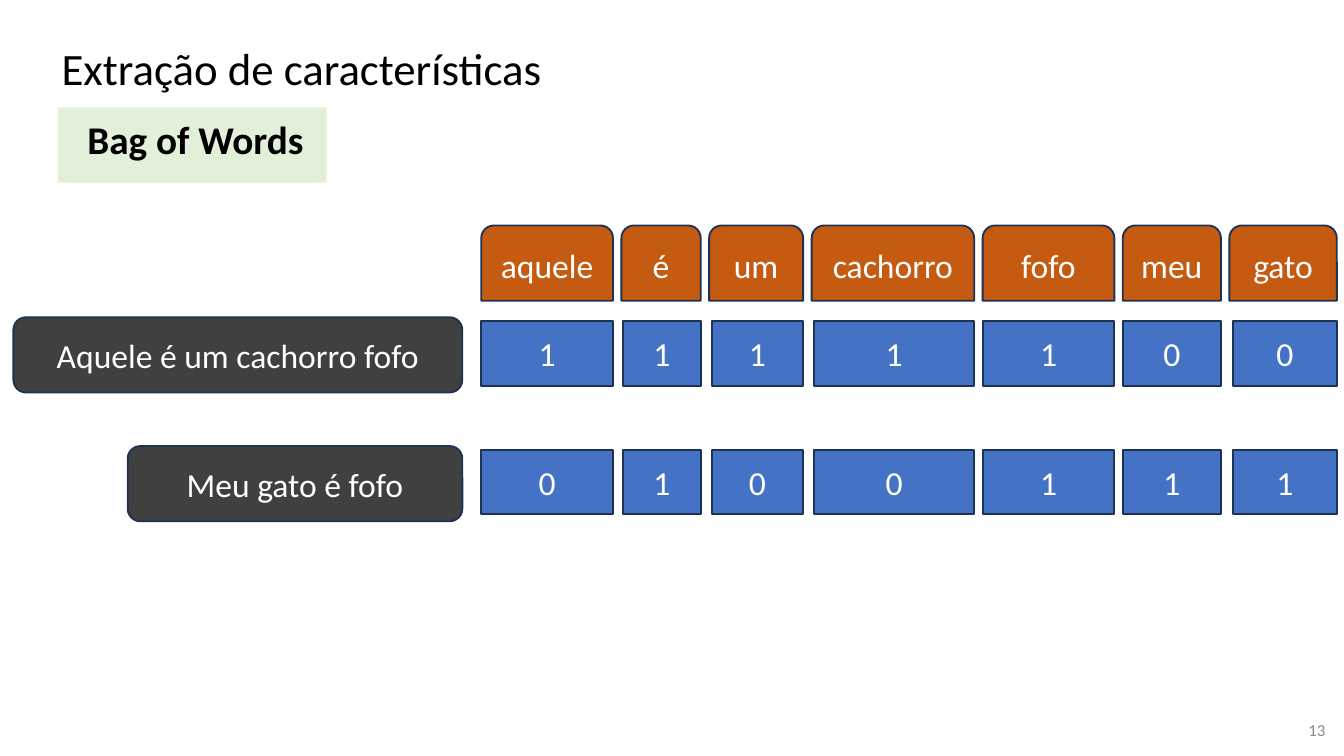
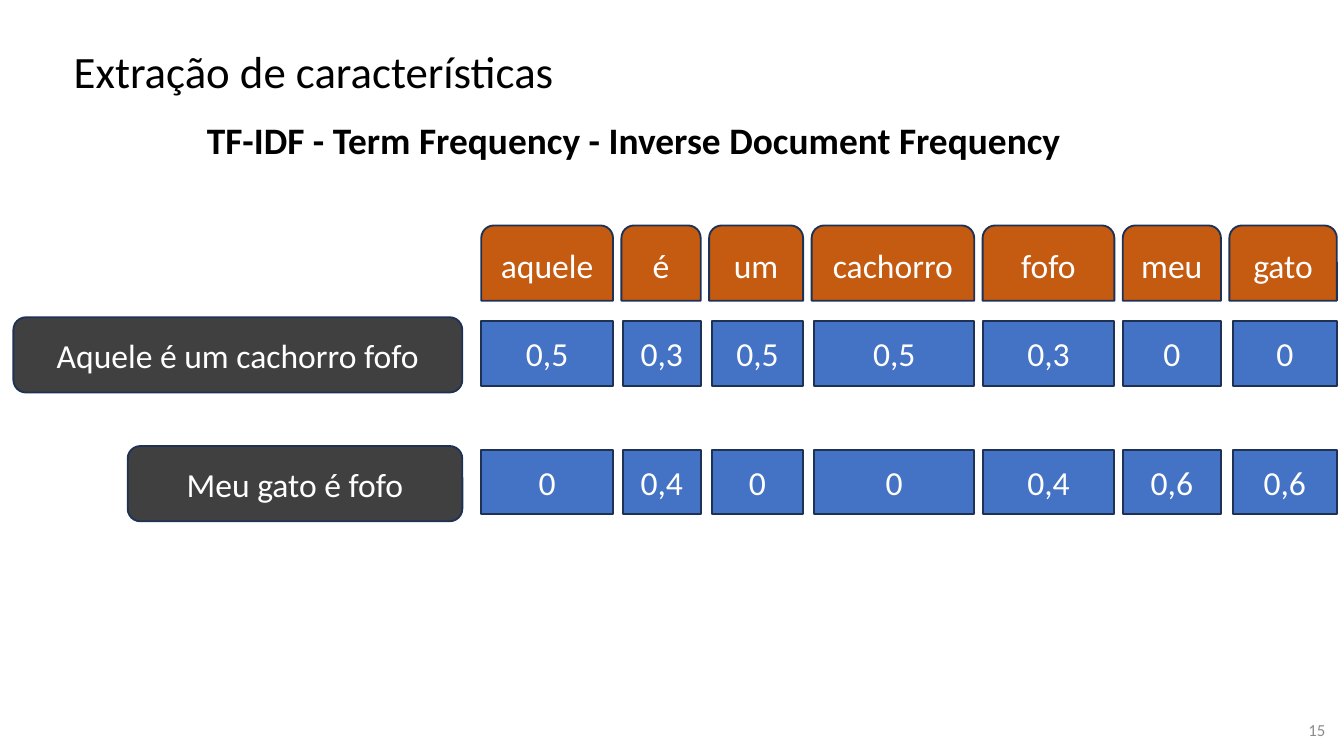
import pptx
import pptx.util
import pptx.dml.color
import pptx.enum.shapes
import pptx.enum.text

Pt = pptx.util.Pt
RGBColor = pptx.dml.color.RGBColor
Shape = pptx.enum.shapes.MSO_SHAPE
Align = pptx.enum.text.PP_ALIGN
Anchor = pptx.enum.text.MSO_ANCHOR

BLACK = RGBColor(0x00, 0x00, 0x00)
WHITE = RGBColor(0xFF, 0xFF, 0xFF)
GRAY = RGBColor(0x8C, 0x8C, 0x8C)
DARK = RGBColor(0x40, 0x40, 0x40)
NAVY = RGBColor(0x1E, 0x32, 0x56)
BLUE = RGBColor(0x44, 0x72, 0xC4)
ORANGE = RGBColor(0xC5, 0x5A, 0x11)
GREEN = RGBColor(0xE2, 0xF0, 0xD9)
FONT = "Calibri"

TITLE = "Extração de características"

# word, header width, cell inset from the left edge of the header
WORDS = [
    ("aquele", 70.6, 0),
    ("é", 42.5, 0.7),
    ("um", 50.4, 1.4),
    ("cachorro", 87.1, 1.4),
    ("fofo", 70.6, 0),
    ("meu", 52.6, 0),
    ("gato", 57.6, 1.8),
]

# sentence, label top, label width
TEXTS = [
    ("Aquele é um cachorro fofo", 170, 240.5),
    ("Meu gato é fofo", 239, 179.3),
]

SLIDES = [
    {
        "number": "13",
        "title": (25.9, 10.1),
        "method": "Bag of Words",
        "place": (31, 57.6, 144, 40.3),
        "style": {"size": 21, "fill": GREEN, "indent": 8.64},
        "values": [
            ["1", "1", "1", "1", "1", "0", "0"],
            ["0", "1", "0", "0", "1", "1", "1"],
        ],
    },
    {
        "number": "15",
        "title": (32.4, 11.5),
        "method": "TF-IDF - Term Frequency - Inverse Document Frequency",
        "place": (103.7, 58.3, 512.6, 33.8),
        "style": {"size": 20},
        "values": [
            ["0,5", "0,3", "0,5", "0,5", "0,3", "0", "0"],
            ["0", "0,4", "0", "0", "0,4", "0,6", "0,6"],
        ],
    },
]

GRID_X, GRID_Y, GAP = 257.8, 120.8, 4.5
LABEL_END, LABEL_H = 247.7, 40.3
CELL_DROP, CELL_H = 2, 34.6


def write(shape, text, size=18, color=WHITE, bold=False, align=Align.CENTER,
          anchor=Anchor.MIDDLE, pad=3.6, spacing=None, indent=0):
    frame = shape.text_frame
    frame.word_wrap = True
    frame.vertical_anchor = anchor
    frame.margin_left = frame.margin_right = Pt(7.2)
    frame.margin_top = frame.margin_bottom = Pt(pad)
    if indent:
        frame.margin_left = Pt(7.2 + indent)
    para = frame.paragraphs[0]
    para.alignment = align
    if spacing:
        para.line_spacing = spacing
    run = para.add_run()
    run.text = text
    font = run.font
    font.name, font.size, font.bold = FONT, Pt(size), bold
    font.color.rgb = color


def add_text(slide, text, place, fill=None, **style):
    box = slide.shapes.add_textbox(*map(Pt, place))
    if fill is not None:
        box.fill.solid()
        box.fill.fore_color.rgb = fill
    write(box, text, pad=7.2, **style)


def add_block(slide, kind, text, place, fill):
    block = slide.shapes.add_shape(kind, *map(Pt, place))
    block.shadow.inherit = False
    block.fill.solid()
    block.fill.fore_color.rgb = fill
    block.line.color.rgb = NAVY
    block.line.width = Pt(1)
    write(block, text)


def add_grid(slide, values):
    """Draw the word headers, the sentence labels and one value per pair."""
    for text, top, width in TEXTS:
        place = (LABEL_END - width, top, width, LABEL_H)
        add_block(slide, Shape.ROUNDED_RECTANGLE, text, place, DARK)
    left = GRID_X
    for col, (word, width, inset) in enumerate(WORDS):
        add_block(slide, Shape.ROUND_2_SAME_RECTANGLE, word,
                  (left, GRID_Y, width, LABEL_H), ORANGE)
        for (_, top, _), row in zip(TEXTS, values):
            place = (left + inset, top + CELL_DROP, width - inset, CELL_H)
            add_block(slide, Shape.RECTANGLE, row[col], place, BLUE)
        left += width + GAP


def main():
    deck = pptx.Presentation()
    deck.slide_width, deck.slide_height = Pt(720), Pt(405)
    for data in SLIDES:
        slide = deck.slides.add_slide(deck.slide_layouts[6])
        add_text(slide, TITLE, (*data["title"], 550.8, 56.2), size=24,
                 color=BLACK, align=Align.LEFT, spacing=0.9)
        add_text(slide, data["method"], data["place"], color=BLACK, bold=True,
                 align=Align.LEFT, anchor=Anchor.TOP, spacing=0.9,
                 **data["style"])
        add_text(slide, data["number"], (673.9, 380.2, 43.2, 25.2), size=9,
                 color=GRAY, align=Align.RIGHT, anchor=Anchor.TOP)
        add_grid(slide, data["values"])
    deck.save("out.pptx")


if __name__ == "__main__":
    main()
